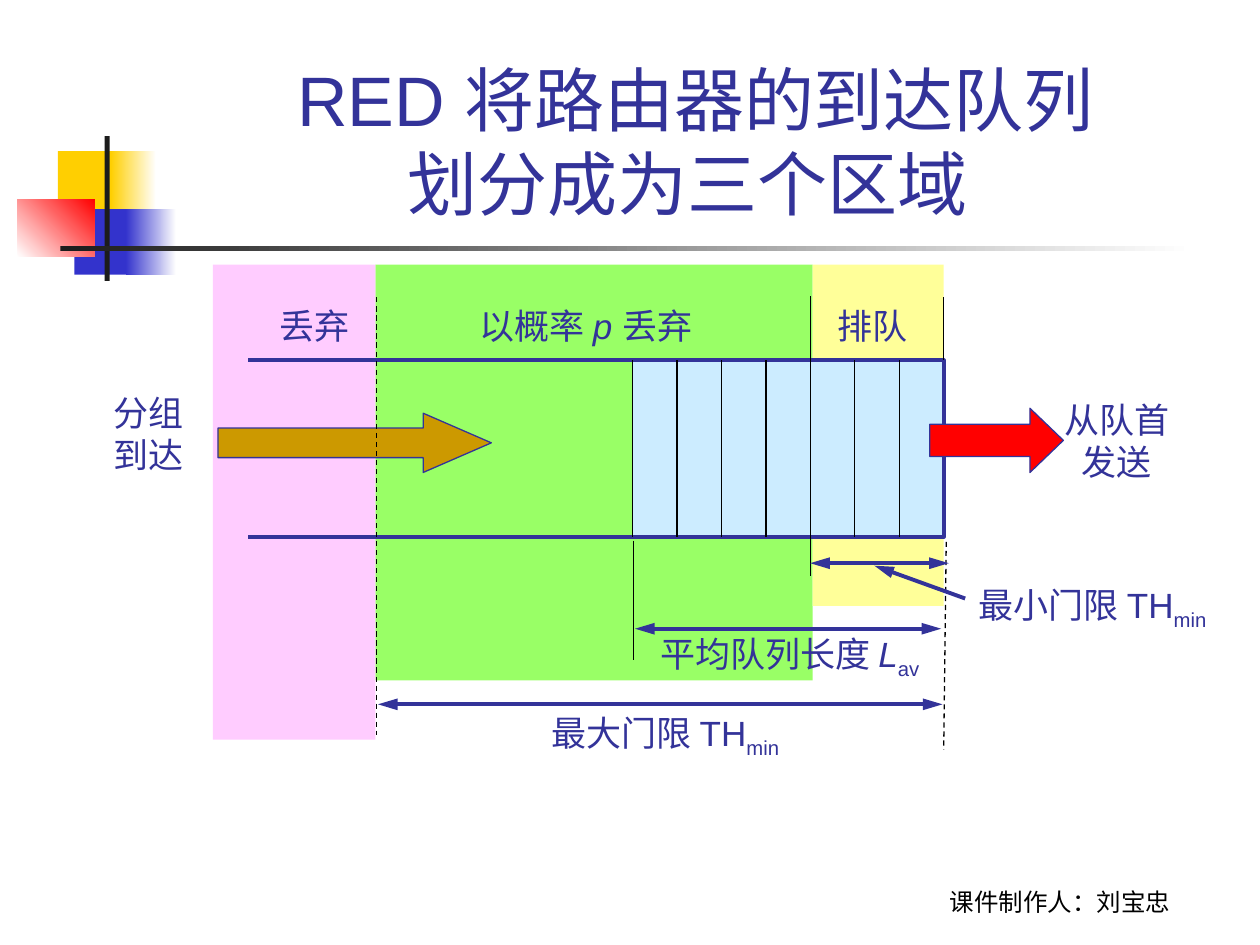
"""Build a slide showing how RED splits a router's arrival queue into three zones."""
from lxml.etree import SubElement
from pptx import Presentation
from pptx.dml.color import RGBColor
from pptx.enum.dml import MSO_LINE
from pptx.enum.shapes import MSO_CONNECTOR, MSO_SHAPE as SHAPE
from pptx.enum.text import MSO_ANCHOR as ANCHOR, PP_ALIGN as ALIGN
from pptx.oxml.ns import qn
from pptx.util import Inches, Pt

WHITE = RGBColor(0xFF, 0xFF, 0xFF)
BLACK = RGBColor(0x00, 0x00, 0x00)
CHARCOAL = RGBColor(0x1C, 0x1C, 0x1C)
NAVY = RGBColor(0x33, 0x33, 0x99)
BLUE = RGBColor(0x33, 0x33, 0xCC)
GOLD = RGBColor(0xFF, 0xCF, 0x01)
OCHRE = RGBColor(0xCC, 0x99, 0x00)
RED = RGBColor(0xFF, 0x00, 0x00)
GREEN = RGBColor(0x99, 0xFF, 0x66)
YELLOW = RGBColor(0xFF, 0xFF, 0x99)
PINK = RGBColor(0xFF, 0xCC, 0xFF)
SKY = RGBColor(0xCC, 0xEC, 0xFF)

QUEUE_LEFT, CELLS_LEFT, QUEUE_RIGHT = 1.97, 5.02, 7.49
QUEUE_TOP, QUEUE_BOTTOM = 2.86, 4.26
CELL_COUNT, THRESHOLD_CELL = 7, 4
CELL_WIDTH = (QUEUE_RIGHT - CELLS_LEFT) / CELL_COUNT
ZONE_TOP = 2.1

DECORATION = [
    ((0.46, 1.2, 0.48, 0.52), GOLD),
    ((0.88, 1.2, 0.36, 0.52), (GOLD, WHITE, 0)),
    ((0.59, 1.66, 0.46, 0.52), BLUE),
    ((1, 1.66, 0.4, 0.52), (BLUE, WHITE, 0)),
    ((0.14, 1.58, 0.61, 0.46), (WHITE, RED, 45)),
    ((0.83, 1.08, 0.04, 1.15), CHARCOAL),
    ((0.48, 1.95, 9, 0.04), (CHARCOAL, WHITE, 0)),
]
ZONES = [
    ((2.98, ZONE_TOP, 3.47, 3.3), GREEN),
    ((6.45, ZONE_TOP, 1.04, 2.71), YELLOW),
    ((1.69, ZONE_TOP, 1.29, 3.77), PINK),
]
CELL_BLOCK = (CELLS_LEFT, QUEUE_TOP, QUEUE_RIGHT - CELLS_LEFT, QUEUE_BOTTOM - QUEUE_TOP)
FLOW_ARROWS = [
    ((7.38, 3.24, 1.06, 0.51), RED, 0.52),
    ((1.73, 3.28, 2.17, 0.47), OCHRE, 1.15),
]

PLAIN, ITALIC, SUB = {}, {"italic": True}, {"baseline": "-25000"}
BREAK = "\n"
TITLE = [[("RED 将路由器的到达队列", PLAIN), (BREAK, PLAIN), ("划分成为三个区域 ", PLAIN)]]
CREDIT = [[("课件制作人：刘宝忠", PLAIN)]]
LABELS = [
    ((8.35, 3.11, 1.03, 0.77), ALIGN.CENTER, [[("从队首", PLAIN)], [("发送", PLAIN)]]),
    ((7.67, 4.58, 2.14, 0.48), ALIGN.LEFT, [[("最小门限 TH", PLAIN), ("min", SUB)]]),
    ((4.28, 5.6, 2.07, 0.48), ALIGN.LEFT, [[("最大门限 TH", PLAIN), ("min", SUB)]]),
    ((0.8, 3.06, 0.75, 0.77), ALIGN.CENTER, [[("分组", PLAIN)], [("到达", PLAIN)]]),
    ((5.14, 4.97, 2.32, 0.48), ALIGN.LEFT,
     [[("平均队列长度 ", PLAIN), ("L", ITALIC), ("av", SUB)]]),
    ((6.55, 2.37, 0.75, 0.44), ALIGN.LEFT, [[("排队", PLAIN)]]),
    ((2.12, 2.37, 0.75, 0.44), ALIGN.LEFT, [[("丢弃", PLAIN)]]),
    ((3.71, 2.37, 2.02, 0.44), ALIGN.LEFT,
     [[("以概率 ", PLAIN), ("p ", ITALIC), ("丢弃", PLAIN)]]),
]
BOTTOM_TEXT = {"word_wrap": True, "vertical_anchor": ANCHOR.BOTTOM}
LABEL_TEXT = {
    ALIGN.LEFT: {"word_wrap": True, "margin_right": 0},
    ALIGN.CENTER: {"word_wrap": True, "margin_left": 0, "margin_right": 0},
}

THIN = {"color": BLACK, "width": 0.75}
DASHED = {**THIN, "dash": MSO_LINE.DASH}
POINTER = {"color": NAVY, "width": 2.25, "ends": ("tailEnd",)}
MEASURE = {**POINTER, "ends": ("headEnd", "tailEnd")}
GUIDES = [
    ((2.99, 2.36), (2.99, 5.83), DASHED),
    ((QUEUE_RIGHT, 2.36), (QUEUE_RIGHT, QUEUE_TOP), THIN),
    ((5.04, 4.99), (7.47, 4.99), MEASURE),
    ((7.51, 4.3), (7.49, 5.95), DASHED),
    ((5.03, 4.29), (5.03, 5.24), THIN),
    ((6.43, 4.47), (7.53, 4.47), MEASURE),
    ((3, 5.59), (7.48, 5.59), MEASURE),
    ((7.66, 4.75), (6.94, 4.49), POINTER),
]


def add_block(page, area, paint, kind=SHAPE.RECTANGLE):
    block = page.shapes.add_shape(kind, *map(Inches, area))
    block.shadow.inherit = False
    block.line.fill.background()
    if isinstance(paint, RGBColor):
        block.fill.solid()
        block.fill.fore_color.rgb = paint
    else:
        *colors, angle = paint
        block.fill.gradient()
        block.fill.gradient_angle = angle
        for stop, color in zip(block.fill.gradient_stops, colors):
            stop.color.rgb = color
    return block


def add_flow_arrow(page, area, color, head):
    arrow = add_block(page, area, color, SHAPE.RIGHT_ARROW)
    arrow.adjustments[0], arrow.adjustments[1] = 0.5, head
    arrow.line.color.rgb = NAVY
    arrow.line.width = Pt(0.75)


def add_line(page, start, end, style):
    line = page.shapes.add_connector(MSO_CONNECTOR.STRAIGHT, *map(Inches, (*start, *end)))
    line.line.color.rgb = style["color"]
    line.line.width = Pt(style["width"])
    if "dash" in style:
        line.line.dash_style = style["dash"]
    for end_tag in style.get("ends", ()):
        SubElement(line.line._get_or_add_ln(), qn(f"a:{end_tag}"), type="triangle", len="lg")
    SubElement(line._element.spPr, qn("a:effectLst"))


def add_text(page, area, paragraphs, align, size, frame_format, font="Arial", color=NAVY):
    box = page.shapes.add_textbox(*map(Inches, area))
    frame = box.text_frame
    for name, value in frame_format.items():
        setattr(frame, name, value)
    for index, spans in enumerate(paragraphs):
        para = frame.add_paragraph() if index else frame.paragraphs[0]
        para.alignment = align
        for text, style in spans:
            if text == BREAK:
                para.add_line_break()
                continue
            span = para.add_run()
            span.text = text
            span.font.color.rgb = color
            values = {"name": font, "size": Pt(size), "italic": style.get("italic")}
            for name, value in values.items():
                setattr(span.font, name, value)
            if "baseline" in style:
                span._r.get_or_add_rPr().set("baseline", style["baseline"])


def add_queue(page):
    corners = [(QUEUE_LEFT, QUEUE_TOP), (QUEUE_RIGHT, QUEUE_TOP),
               (QUEUE_RIGHT, QUEUE_BOTTOM), (QUEUE_LEFT, QUEUE_BOTTOM)]
    points = [(Inches(x), Inches(y)) for x, y in corners]
    builder = page.shapes.build_freeform(*points[0])
    builder.add_line_segments(points[1:], close=False)
    outline = builder.convert_to_shape()
    outline.shadow.inherit = False
    outline.fill.background()
    outline.line.color.rgb = NAVY
    outline.line.width = Pt(2.25)
    for cell in range(CELL_COUNT):
        x = CELLS_LEFT + cell * CELL_WIDTH
        top, bottom = (2.35, 4.57) if cell == THRESHOLD_CELL else (QUEUE_TOP, QUEUE_BOTTOM)
        add_line(page, (x, top), (x, bottom), THIN)


def main():
    deck = Presentation()
    deck.slide_width, deck.slide_height = Inches(10), Inches(7.5)
    page = deck.slides.add_slide(deck.slide_layouts[6])
    for area, paint in DECORATION:
        add_block(page, area, paint)
    add_text(page, (6.83, 6.82, 3.17, 0.5), CREDIT, ALIGN.CENTER, 14, BOTTOM_TEXT, "Lato", BLACK)
    for area, paint in ZONES:
        add_block(page, area, paint)
    add_text(page, (1.26, 0.23, 8.52, 1.6), TITLE, ALIGN.CENTER, 40, BOTTOM_TEXT)
    add_block(page, CELL_BLOCK, SKY)
    add_queue(page)
    for arrow in FLOW_ARROWS:
        add_flow_arrow(page, *arrow)
    for area, align, paragraphs in LABELS:
        add_text(page, area, paragraphs, align, 20, LABEL_TEXT[align])
    for guide in GUIDES:
        add_line(page, *guide)
    deck.save("out.pptx")


if __name__ == "__main__":
    main()
